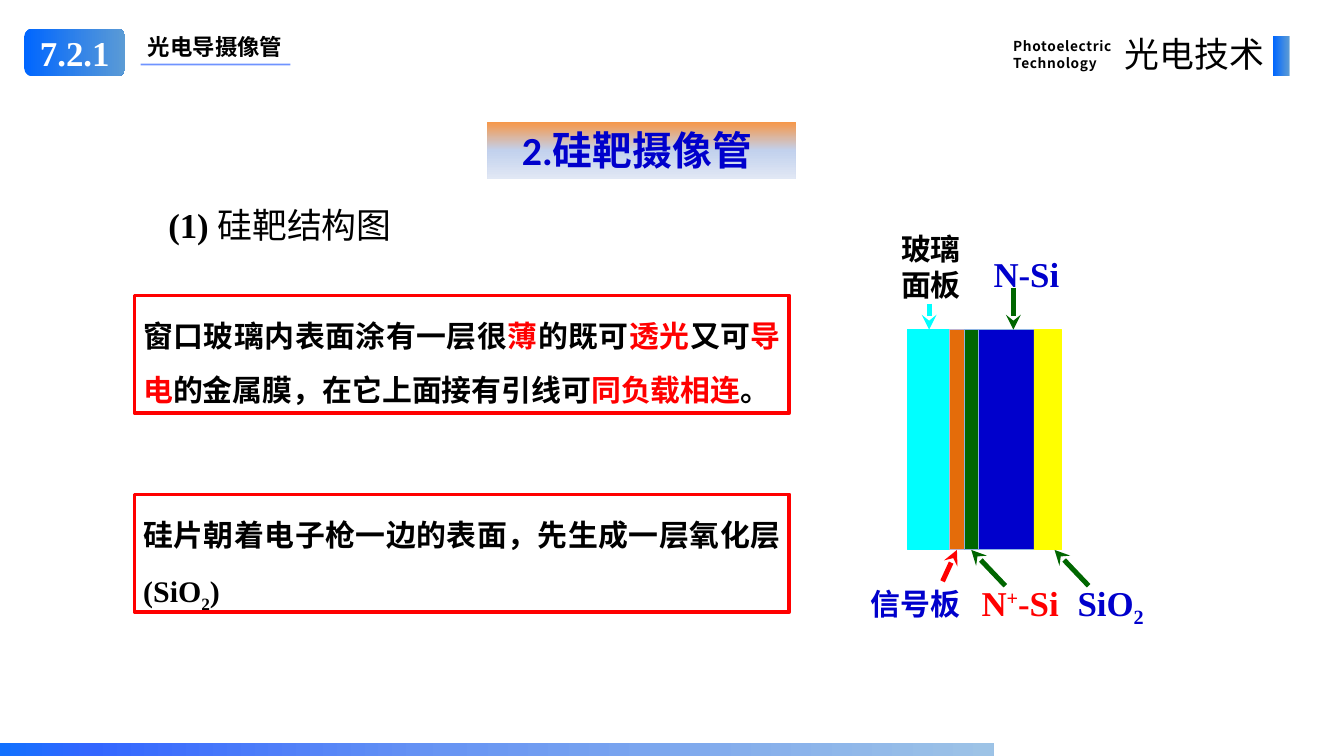
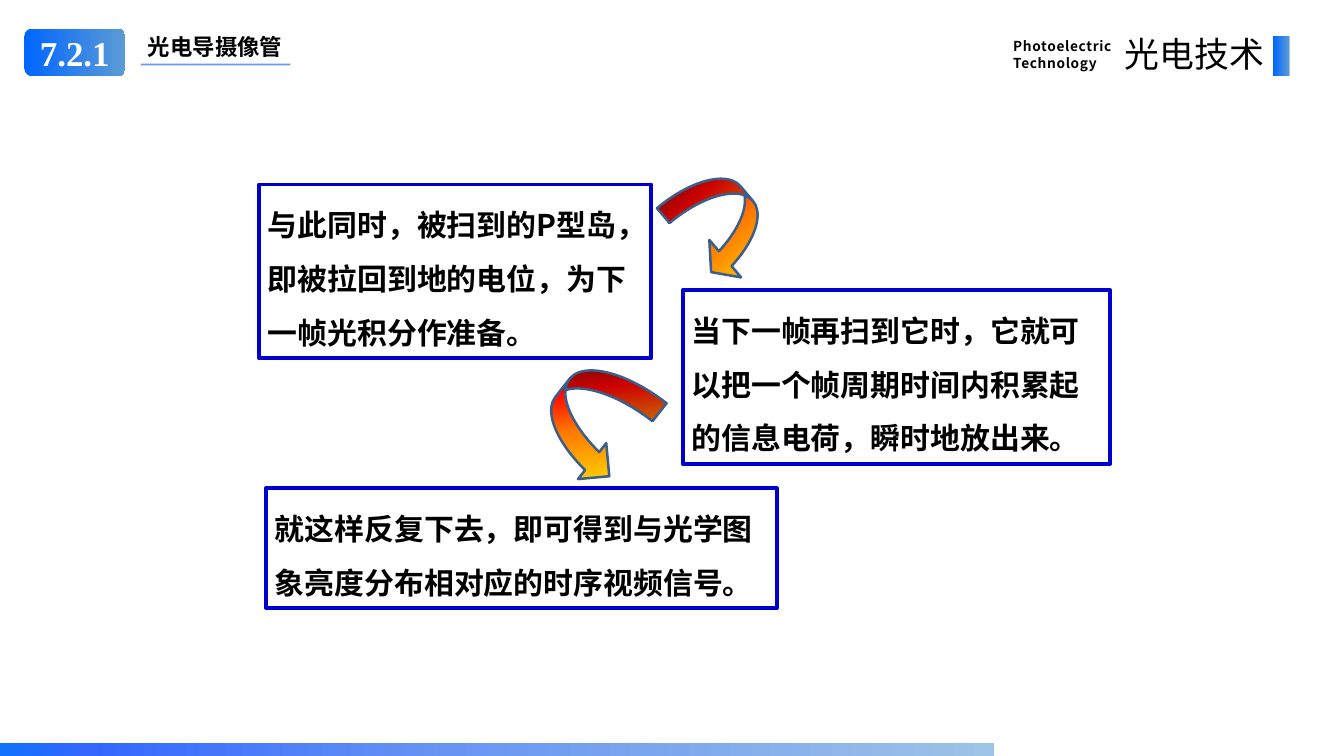
from itertools import accumulate

from pptx import Presentation
from pptx.dml.color import RGBColor
from pptx.enum.shapes import MSO_CONNECTOR as Connector, MSO_SHAPE as Preset
from pptx.enum.text import MSO_ANCHOR as Anchor, MSO_AUTO_SIZE as AutoSize, PP_ALIGN as Align
from pptx.oxml.xmlchemy import OxmlElement
from pptx.util import Inches, Pt

BLACK, WHITE, RED, BLUE, GREEN, CYAN = "000000", "FFFFFF", "FF0000", "0000CC", "006600", "00FFFF"
ACCENT = "3366FF"
SERIF, SANS, SANS_JP = "Times New Roman", "Noto Sans CJK SC", "Noto Sans CJK JP"
HEADER_FADE = [(0, "0066FF"), (100, "5B9BD5")]
FOOTER_FADE = [(0, "1271FE"), (9, ACCENT), (45, "6895F3"), (100, "9DC3E6")]
BANNER_FADE = [(0, "F79646"), (50, "C2D1ED"), (100, "E1E8F5")]
FLAME_FADE = [(0, "FFF200"), (45, "FF7A00"), (70, "FF0300"), (100, "4D0808")]


def color(value):
    """Turn a hex string into a colour."""
    return RGBColor.from_string(value)


def add_child(parent, tag, **attributes):
    """Append an XML element with the given attributes."""
    child = OxmlElement(tag)
    for name, value in attributes.items():
        child.set(name, str(value))
    parent.append(child)
    return child


def set_gradient(shape, stops, angle):
    """Fill a shape with a clockwise linear gradient."""
    shape.fill.gradient()
    gradient = shape._element.spPr.find(".//{*}gradFill")
    stop_list = gradient.find("{*}gsLst")
    for stop in list(stop_list):
        stop_list.remove(stop)
    for position, value in stops:
        stop = add_child(stop_list, "a:gs", pos=position * 1000)
        add_child(stop, "a:srgbClr", val=value)
    gradient.find("{*}lin").set("ang", str(angle * 60000))


def add_box(page, box, preset=Preset.RECTANGLE, fill=None, fade=None, angle=0, line=None, width=1):
    """Add a preset shape with an optional fill and outline."""
    shape = page.shapes.add_shape(preset, *map(Inches, box))
    shape.shadow.inherit = False
    if fade:
        set_gradient(shape, fade, angle)
    elif fill:
        shape.fill.solid()
        shape.fill.fore_color.rgb = color(fill)
    else:
        shape.fill.background()
    if line:
        shape.line.color.rgb = color(line)
        shape.line.width = Pt(width)
    else:
        shape.line.fill.background()
    return shape


def add_span(para, text, size=24, ink=BLACK, face=SERIF, east=SANS, bold=True, spacing=0, baseline=0):
    """Add one formatted run to a paragraph."""
    span = para.add_run()
    span.text = text
    for name, value in {"size": Pt(size), "bold": bold, "name": face}.items():
        setattr(span.font, name, value)
    span.font.color.rgb = color(ink)
    properties = span._r.get_or_add_rPr()
    for name, value in {"spc": spacing, "baseline": baseline}.items():
        if value:
            properties.set(name, str(value))
    add_child(properties, "a:ea", typeface=east)


def write(shape, paragraphs, align=Align.LEFT, leading=None, anchor=Anchor.TOP, margins=None, **style):
    """Write paragraphs, each a list of (text, overrides) runs."""
    frame = shape.text_frame
    settings = {"word_wrap": True, "auto_size": AutoSize.NONE, "vertical_anchor": anchor}
    if margins is not None:
        settings |= {f"margin_{side}": margins for side in ("left", "top", "right", "bottom")}
    for name, value in settings.items():
        setattr(frame, name, value)
    for index, runs in enumerate(paragraphs):
        para = frame.add_paragraph() if index else frame.paragraphs[0]
        para.alignment = align
        if leading:
            para.line_spacing = leading
        for text, changes in runs:
            add_span(para, text, **(style | changes))


def add_label(page, box, paragraphs, **style):
    """Add a wrapping text box."""
    write(page.shapes.add_textbox(*map(Inches, box)), paragraphs, **style)


def add_line(page, start, end, ink, width, arrow=False, opacity=None):
    """Add a straight line, optionally with an arrowhead or opacity."""
    line = page.shapes.add_connector(Connector.STRAIGHT, *map(Inches, (*start, *end)))
    line.line.color.rgb = color(ink)
    line.line.width = Pt(width)
    properties = line._element.spPr
    if opacity:
        add_child(properties.find(".//{*}srgbClr"), "a:alpha", val=opacity * 1000)
    if arrow:
        add_child(line.line._get_or_add_ln(), "a:tailEnd", type="stealth")
    add_child(properties, "a:effectLst")


def draw_header(page, left, top):
    """Draw the section number, the title and the course name."""
    badge = add_box(page, (left, top, 1.13, 0.53), Preset.ROUNDED_RECTANGLE, fade=HEADER_FADE)
    write(badge, [[("7.2.1", {})]], Align.CENTER, anchor=Anchor.MIDDLE, size=28, ink=WHITE)
    title = page.shapes.title
    place = {"left": left + 1.22, "top": top, "width": 1.82, "height": 0.4}
    for name, value in place.items():
        setattr(title, name, Inches(value))
    write(title, [[("光电导摄像管", {})]], Align.CENTER, size=18, face=SANS)
    add_line(page, (left + 1.3, top + 0.4), (left + 2.97, top + 0.4), ACCENT, 1.5, opacity=70)
    add_label(page, (left + 10.94, top + 0.04, 1.34, 0.49),
              [[("Photoelectric", {})], [("Technology", {})]],
              leading=Pt(14), size=11, face=SANS, spacing=50)
    add_label(page, (left + 12.04, top, 1.9, 0.57), [[("光电技术", {})]],
              align=Align.RIGHT, size=28, face=SANS, bold=False, spacing=20)
    add_box(page, (left + 13.94, top + 0.08, 0.18, 0.45), fade=HEADER_FADE)


def add_page(deck):
    """Add a slide with the shared header and footer band."""
    page = deck.slides.add_slide(deck.slide_layouts[5])
    draw_header(page, 0.27, 0.32)
    add_box(page, (0, 8.3, 11.09, 0.14), fade=FOOTER_FADE)
    return page


def draw_target(page, left, top):
    """Draw the layered silicon target with its labels and arrows."""
    height = 2.46
    layers = [(0.47, CYAN, CYAN), (0.16, "E46C0A", "BFB2D0"), (0.16, GREEN, "8EB4E3"),
              (0.62, BLUE, "8EB4E3"), (0.31, "FFFF00", "FFFF00")]
    offsets = accumulate((layer[0] for layer in layers), initial=0)
    for (width, fill, edge), offset in zip(layers, offsets):
        add_box(page, (left + offset, top, width, height), fill=fill, line=edge, width=0.75)

    labels = [
        ((-0.21, -1.1, 0.94, 0.8), [("玻璃面板", {})], 24, BLACK),
        ((-0.62, 2.86, 1.41, 0.4), [("信号板", {})], 24, BLUE),
        ((0.71, 2.81, 1.09, 0.47), [("N", {}), ("+", {"baseline": 30000}), ("-Si", {})], 28, RED),
        ((0.78, -0.86, 1.09, 0.47), [("N-Si", {})], 28, BLUE),
        ((1.72, 2.81, 1.09, 0.47), [("SiO", {}), ("2", {"baseline": -25000})], 28, BLUE),
    ]
    for (x, y, width, tall), runs, size, ink in labels:
        add_label(page, (left + x, top + y, width, tall), [runs],
                  align=Align.CENTER, margins=0, size=size, ink=ink)

    arrows = [((0.24, -0.29), (0.24, 0), CYAN), ((1.18, -0.47), (1.18, 0), GREEN),
              ((0.39, 2.81), (0.55, height), RED), ((1.09, 2.86), (0.71, height), GREEN),
              ((2.02, 2.86), (1.64, height), GREEN)]
    for start, end, ink in arrows:
        add_line(page, (left + start[0], top + start[1]), (left + end[0], top + end[1]),
                 ink, 4, arrow=True)


def draw_structure_notes(page, left, top):
    """Draw the subheading and the two framed notes on the target."""
    red = {"ink": RED}
    add_label(page, (left + 0.28, top, 3.64, 0.57),
              [[("(1) ", {}), ("硅靶结构图", {"face": SANS_JP, "east": SANS_JP, "bold": False})]],
              size=28)
    notes = [
        [("窗口玻璃内表面涂有一层很", {}), ("薄", red), ("的既可", {}), ("透光", red), ("又可", {}),
         ("导电", red), ("的金属膜，在它上面接有引线可", {}), ("同负载相连", red), ("。", {})],
        [("硅片朝着电子枪一边的表面，先生成一层氧化层(SiO", {}), ("2", {"baseline": -25000}), (")", {})],
    ]
    for index, runs in enumerate(notes):
        frame = add_box(page, (left, top + 1.07 + 2.22 * index, 7.31, 1.31), line=RED, width=3)
        write(frame, [runs], Align.JUSTIFY, 1.5)


def build_structure(deck):
    """Build the slide on the structure of the silicon target."""
    page = add_page(deck)
    banner = add_box(page, (5.44, 1.36, 3.44, 0.64), fade=BANNER_FADE, angle=90)
    write(banner, [[("2.硅靶摄像管 ", {})]], Align.CENTER, size=32, ink=BLUE, face="Calibri")
    draw_structure_notes(page, 1.5, 2.23)
    draw_target(page, 10.13, 3.68)


def draw_cycle(page, left, top):
    """Draw the three framed steps and the curved arrows between them."""
    steps = [
        ((0, 0, 4.38, 1.94), "与此同时，被扫到的P型岛，即被拉回到地的电位，为下一帧光积分作准备。"),
        ((4.73, 1.18, 4.77, 1.94), "当下一帧再扫到它时，它就可以把一个帧周期时间内积累起的信息电荷，瞬时地放出来。"),
        ((0.08, 3.39, 5.7, 1.34), "就这样反复下去，即可得到与光学图象亮度分布相对应的时序视频信号。"),
    ]
    for (x, y, width, height), text in steps:
        frame = add_box(page, (left + x, top + y, width, height), line=BLUE, width=3)
        write(frame, [[(text, {})]], leading=1.5, face=SANS)

    arrows = [
        ((4.73, -0.16, 0.87, 1.21), Preset.CURVED_LEFT_ARROW, 319.7, 270, (0.25, 0.631, 0.25)),
        ((3.24, 1.99, 1.02, 1.29), Preset.CURVED_RIGHT_ARROW, 38.1, 225, (0.25, 0.5, 0.25)),
    ]
    for (x, y, width, height), preset, rotation, angle, bends in arrows:
        arrow = add_box(page, (left + x, top + y, width, height), preset,
                        fade=FLAME_FADE, angle=angle, line="3A5F8C", width=2)
        arrow.rotation = rotation
        for index, bend in enumerate(bends):
            arrow.adjustments[index] = bend


def build_cycle(deck):
    """Build the slide on the repeated scanning cycle."""
    draw_cycle(add_page(deck), 2.89, 2.06)


def main():
    """Build and save the deck."""
    deck = Presentation()
    deck.slide_width, deck.slide_height = Inches(15), Inches(8.44)
    build_structure(deck)
    build_cycle(deck)
    deck.save("out.pptx")


if __name__ == "__main__":
    main()
